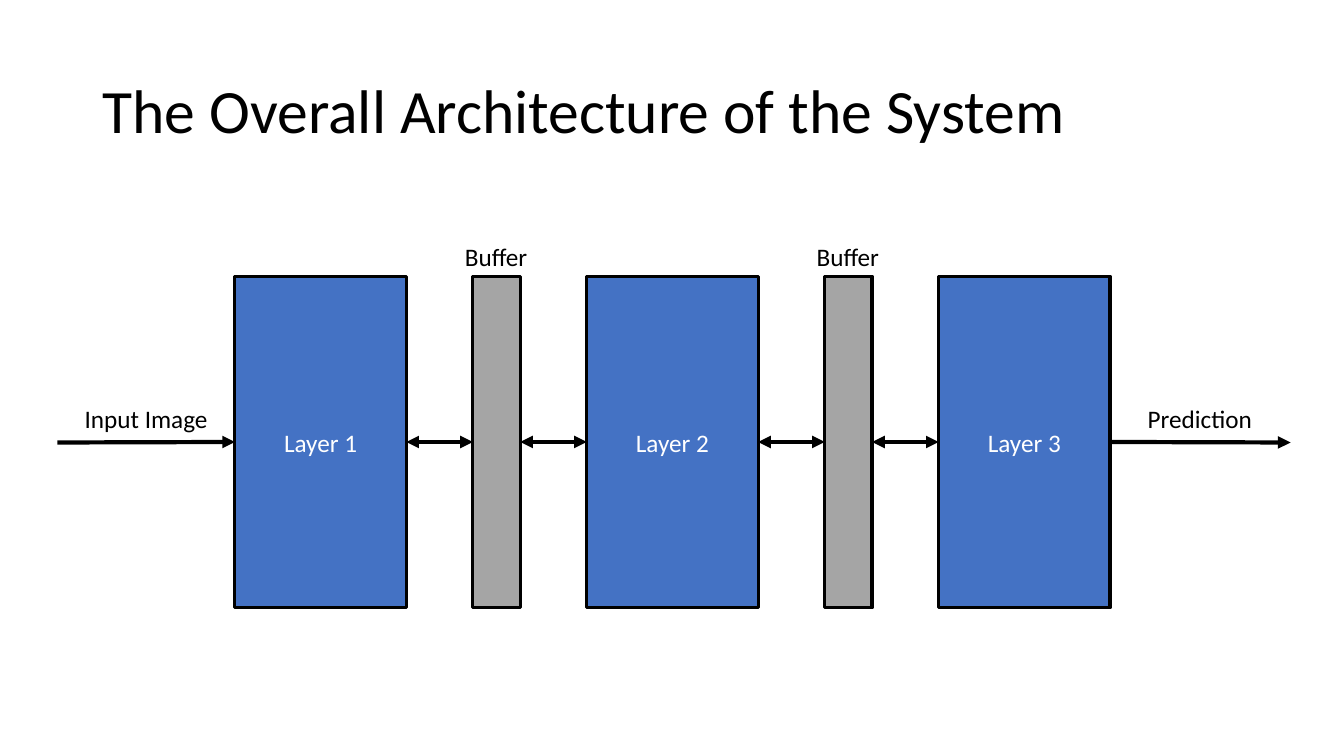
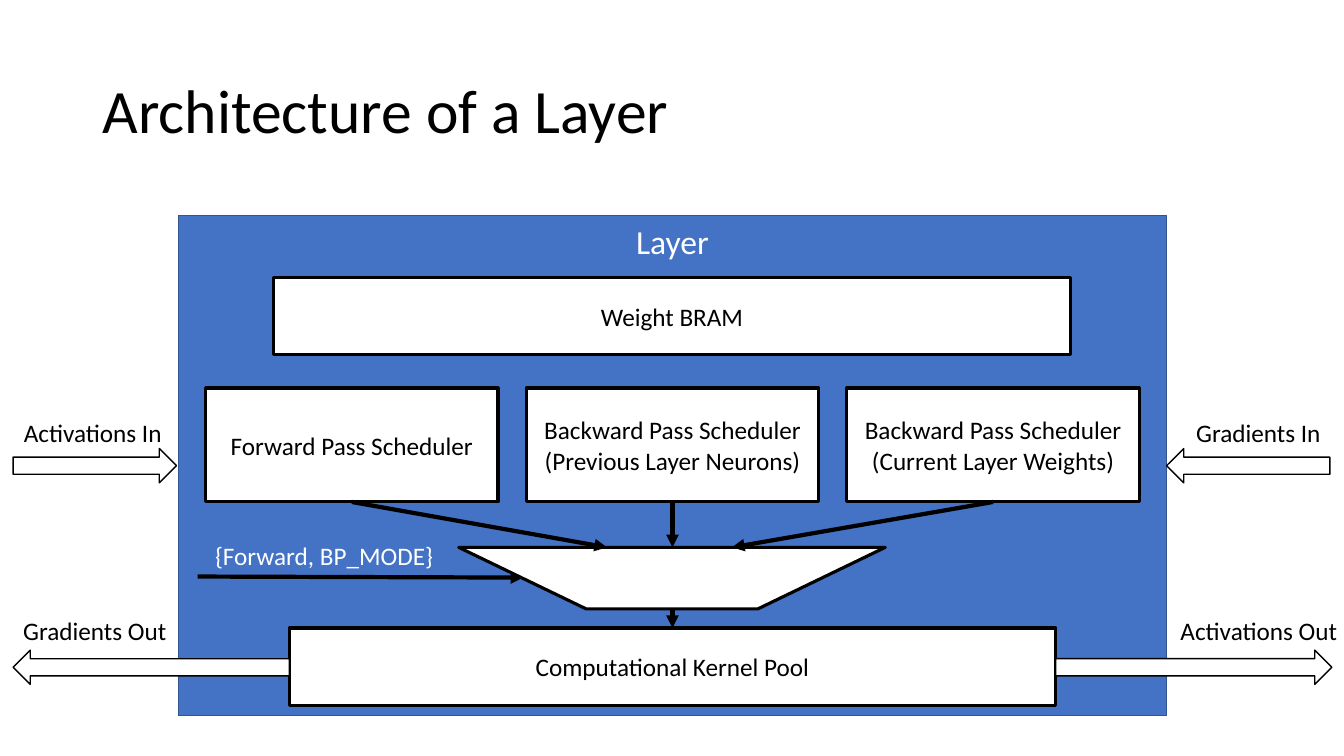
from lxml import etree
from pptx import Presentation
from pptx import util as u
from pptx.dml import color
from pptx.enum import shapes, text
from pptx.oxml import ns

SCALE = 9144
FONT = "Calibri"
BLACK, WHITE, BLUE, GRAY, NAVY = "000000", "FFFFFF", "4472C4", "A5A5A5", "325491"
RECT = shapes.MSO_SHAPE.RECTANGLE
RIGHT_ARROW = shapes.MSO_SHAPE.RIGHT_ARROW
TRAPEZOID = shapes.MSO_SHAPE.TRAPEZOID
MIDDLE, TOP = text.MSO_ANCHOR.MIDDLE, text.MSO_ANCHOR.TOP
CENTER, LEFT = text.PP_ALIGN.CENTER, text.PP_ALIGN.LEFT
SIDE_TOP, SIDE_LEFT, SIDE_BOTTOM, SIDE_RIGHT = range(4)


def px(*lengths):
    return [u.Emu(length * SCALE) for length in lengths]


def rgb(hex_color):
    return color.RGBColor.from_string(hex_color)


def write(shape, lines, size=18, ink=BLACK, align=CENTER, anchor=MIDDLE, spacing=None):
    frame = shape.text_frame
    frame.word_wrap = True
    frame.vertical_anchor = anchor
    for index, line in enumerate(lines):
        para = frame.add_paragraph() if index else frame.paragraphs[0]
        para.alignment = align
        if spacing:
            para.line_spacing = spacing
        span = para.add_run()
        span.text = line
        span.font.name = FONT
        span.font.size = u.Pt(size)
        span.font.color.rgb = rgb(ink)


def add_title(page, title):
    box = page.shapes.add_textbox(*px(92, 40, 1150, 145))
    write(box, [title], size=44, align=LEFT, spacing=0.9)


def add_label(page, left, top, width, label, ink=BLACK, align=CENTER):
    box = page.shapes.add_textbox(*px(left, top, width, 40))
    write(box, [label], ink=ink, align=align, anchor=TOP)
    box.text_frame.auto_size = text.MSO_AUTO_SIZE.SHAPE_TO_FIT_TEXT


def add_block(page, kind, left, top, width, height, fill=WHITE, line=BLACK, weight=2.25, turn=0):
    shape = page.shapes.add_shape(kind, *px(left, top, width, height))
    shape.shadow.inherit = False
    shape.fill.solid()
    shape.fill.fore_color.rgb = rgb(fill)
    shape.line.color.rgb = rgb(line)
    shape.line.width = u.Pt(weight)
    shape.rotation = turn
    return shape


def add_arrow(page, start, end, from_side=None, to_side=None, double=False):
    first = (0, 0) if from_side is not None else start
    last = (0, 0) if to_side is not None else end
    arrow = page.shapes.add_connector(shapes.MSO_CONNECTOR.STRAIGHT, *px(*first, *last))
    if from_side is not None:
        arrow.begin_connect(start, from_side)
    if to_side is not None:
        arrow.end_connect(end, to_side)
    arrow.line.color.rgb = rgb(BLACK)
    arrow.line.width = u.Pt(3)
    outline = arrow.line._get_or_add_ln()
    for tag in ("a:headEnd", "a:tailEnd") if double else ("a:tailEnd",):
        etree.SubElement(outline, ns.qn(tag), type="triangle")
    etree.SubElement(arrow._element.spPr, ns.qn("a:effectLst"))


def draw_pipeline(page, left, top):
    pitch, height = 349, 329
    body_top, middle = top + 40, top + 205
    layers, buffers = [], []
    for index in range(3):
        layer = add_block(page, RECT, left + 176 + pitch * index, body_top, 170, height, BLUE)
        write(layer, [f"Layer {index + 1}"], ink=WHITE)
        layers.append(layer)
    for index in range(2):
        x = left + 412 + pitch * index
        buffers.append(add_block(page, RECT, x, body_top, 47, height, GRAY))
        add_label(page, x - 50, top, 146, "Buffer")
    for index, buffer in enumerate(buffers):
        for start, end in ((layers[index], buffer), (buffer, layers[index + 1])):
            add_arrow(page, start, end, SIDE_RIGHT, SIDE_LEFT, double=True)
    add_label(page, left + 15, top + 161, 146, "Input Image")
    add_arrow(page, (left, middle), layers[0], to_side=SIDE_LEFT)
    add_label(page, left + 1060, top + 161, 146, "Prediction")
    add_arrow(page, layers[-1], (left + 1223, middle), from_side=SIDE_RIGHT)


def draw_layer(page, left, top, width, height):
    frame = add_block(page, RECT, left, top, width, height, BLUE, NAVY, 1)
    write(frame, ["Layer"], size=24, ink=WHITE, anchor=TOP)
    weights = add_block(page, RECT, left + 94, top + 61, 791, 77)
    write(weights, ["Weight BRAM"])

    schedulers = []
    for index, lines in enumerate((
        ["Forward Pass Scheduler"],
        ["Backward Pass Scheduler", "(Previous Layer Neurons)"],
        ["Backward Pass Scheduler", "(Current Layer Weights)"],
    )):
        scheduler = add_block(page, RECT, left + 27 + 318 * index, top + 171, 290, 113)
        write(scheduler, lines)
        schedulers.append(scheduler)
    pool = add_block(page, RECT, left + 110, top + 409, 760, 77)
    write(pool, ["Computational Kernel Pool"])
    selector = add_block(page, TRAPEZOID, left + 278, top + 329, 423, 61, turn=180)
    selector.adjustments[0] = 2.07

    for scheduler, x in zip(schedulers, (425, 490, 549)):
        add_arrow(page, scheduler, (left + x, top + 329), from_side=SIDE_BOTTOM)
    add_arrow(page, (left + 19, top + 358), (left + 342, top + 359))
    add_label(page, left + 19, top + 317, 251, "{Forward, BP_MODE}", WHITE)
    add_arrow(page, (left + 490, top + 390), pool, to_side=SIDE_TOP)


def draw_ports(page, left, top, width):
    for x, y, length, turn in (
        (-164, 231, 162, 0),
        (width, 231, 162, 180),
        (-164, 431, 274, 180),
        (width - 110, 431, 274, 0),
    ):
        add_block(page, RIGHT_ARROW, left + x, top + y, length, 34, weight=1, turn=turn)
    for x, y, length, label, align in (
        (-181, 195, 192, "Activations In", CENTER),
        (width - 5, 195, 192, "Gradients In", CENTER),
        (width + 4, 392, 178, "Activations Out", LEFT),
        (-179, 392, 192, "Gradients Out", CENTER),
    ):
        add_label(page, left + x, top + y, length, label, align=align)


def add_page(deck, title):
    page = deck.slides.add_slide(deck.slide_layouts[6])
    add_title(page, title)
    return page


def main():
    deck = Presentation()
    deck.slide_width, deck.slide_height = px(1333, 750)
    page = add_page(deck, "The Overall Architecture of the System")
    draw_pipeline(page, 57, 234)
    page = add_page(deck, "Architecture of a Layer")
    draw_layer(page, 177, 214, 980, 496)
    draw_ports(page, 177, 214, 980)
    deck.save("out.pptx")


if __name__ == "__main__":
    main()
